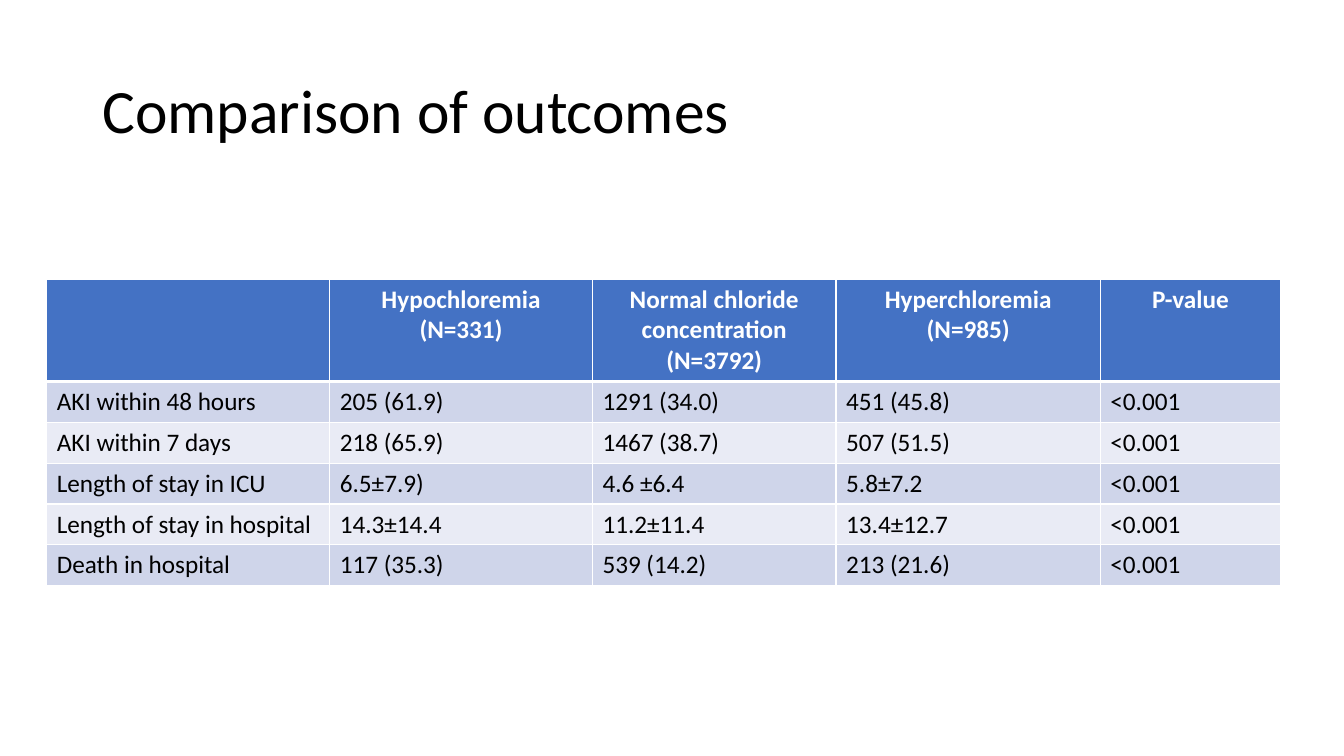
from lxml import etree
from pptx import Presentation, util as u
from pptx.dml.color import RGBColor
from pptx.enum import text
from pptx.oxml.ns import qn

TITLE = "Comparison of outcomes"
HEAD = ["", "Hypochloremia\n(N=331)", "Normal chloride concentration\n(N=3792)",
        "Hyperchloremia\n(N=985)", "P-value"]
ROWS = [
    ["AKI within 48 hours", "205 (61.9)", "1291 (34.0)", "451 (45.8)", "<0.001"],
    ["AKI within 7 days", "218 (65.9)", "1467 (38.7)", "507 (51.5)", "<0.001"],
    ["Length of stay in ICU", "6.5±7.9)", "4.6 ±6.4", "5.8±7.2", "<0.001"],
    ["Length of stay in hospital", "14.3±14.4", "11.2±11.4", "13.4±12.7", "<0.001"],
    ["Death in hospital", "117 (35.3)", "539 (14.2)", "213 (21.6)", "<0.001"],
]
WIDTHS = [7.13, 6.62, 6.14, 6.66, 4.54]
ROW_H = 1.03

THEME = {
    "font": "Calibri", "title": 44, "body": 18,
    "ink": "000000", "paper": "FFFFFF", "head": "4472C4",
    "bands": ["CFD5EA", "E9EBF5"],
}
LEFT, MID = text.PP_ALIGN.LEFT, text.PP_ALIGN.CENTER


def write(frame, words, size, color, bold, **form):
    """Fill a text frame and format each of its paragraphs."""
    frame.text = words
    look = {"name": THEME["font"], "size": u.Pt(size), "bold": bold}
    for para in frame.paragraphs:
        for key, val in form.items():
            setattr(para, key, val)
        for key, val in look.items():
            setattr(para.font, key, val)
        para.font.color.rgb = RGBColor.from_string(color)


def rule(cell, base):
    """Draw the four cell borders; base is the bottom width in points."""
    props = cell._tc.get_or_add_tcPr()
    sides = {"lnL": 1, "lnR": 1, "lnT": 1, "lnB": base}
    for spot, (side, wide) in enumerate(sides.items()):
        line = etree.Element(qn("a:" + side), w=str(u.Pt(wide)))
        fill = etree.SubElement(line, qn("a:solidFill"))
        etree.SubElement(fill, qn("a:srgbClr"), val=THEME["paper"])
        props.insert(spot, line)


def place(shape, left, top, width, height):
    box = {"left": left, "top": top, "width": width, "height": height}
    for key, val in box.items():
        setattr(shape, key, u.Cm(val))


def add_title(slide):
    shape = slide.shapes.title
    place(shape, 2.33, 1.01, 29.21, 3.68)
    shape.text_frame.vertical_anchor = text.MSO_ANCHOR.MIDDLE
    write(shape.text_frame, TITLE, THEME["title"], THEME["ink"], False,
          alignment=LEFT, line_spacing=0.9)


def add_grid(slide):
    data = [HEAD] + ROWS
    box = [u.Cm(x) for x in (1.18, 7.03, sum(WIDTHS), ROW_H * len(data))]
    grid = slide.shapes.add_table(len(data), len(HEAD), *box).table
    for col, width in zip(grid.columns, WIDTHS):
        col.width = u.Cm(width)
    for r, line in enumerate(data):
        grid.rows[r].height = u.Cm(ROW_H)
        top = r == 0
        fill = THEME["head"] if top else THEME["bands"][(r - 1) % 2]
        for c, words in enumerate(line):
            cell = grid.cell(r, c)
            cell.fill.solid()
            cell.fill.fore_color.rgb = RGBColor.from_string(fill)
            rule(cell, 3 if top else 1)
            write(cell.text_frame, words, THEME["body"],
                  THEME["paper" if top else "ink"], top,
                  alignment=MID if top else LEFT)


def main():
    deck = Presentation()
    deck.slide_width, deck.slide_height = u.Cm(33.87), u.Cm(19.05)
    slide = deck.slides.add_slide(deck.slide_layouts.get_by_name("Title Only"))
    add_title(slide)
    add_grid(slide)
    deck.save("out.pptx")


if __name__ == "__main__":
    main()
